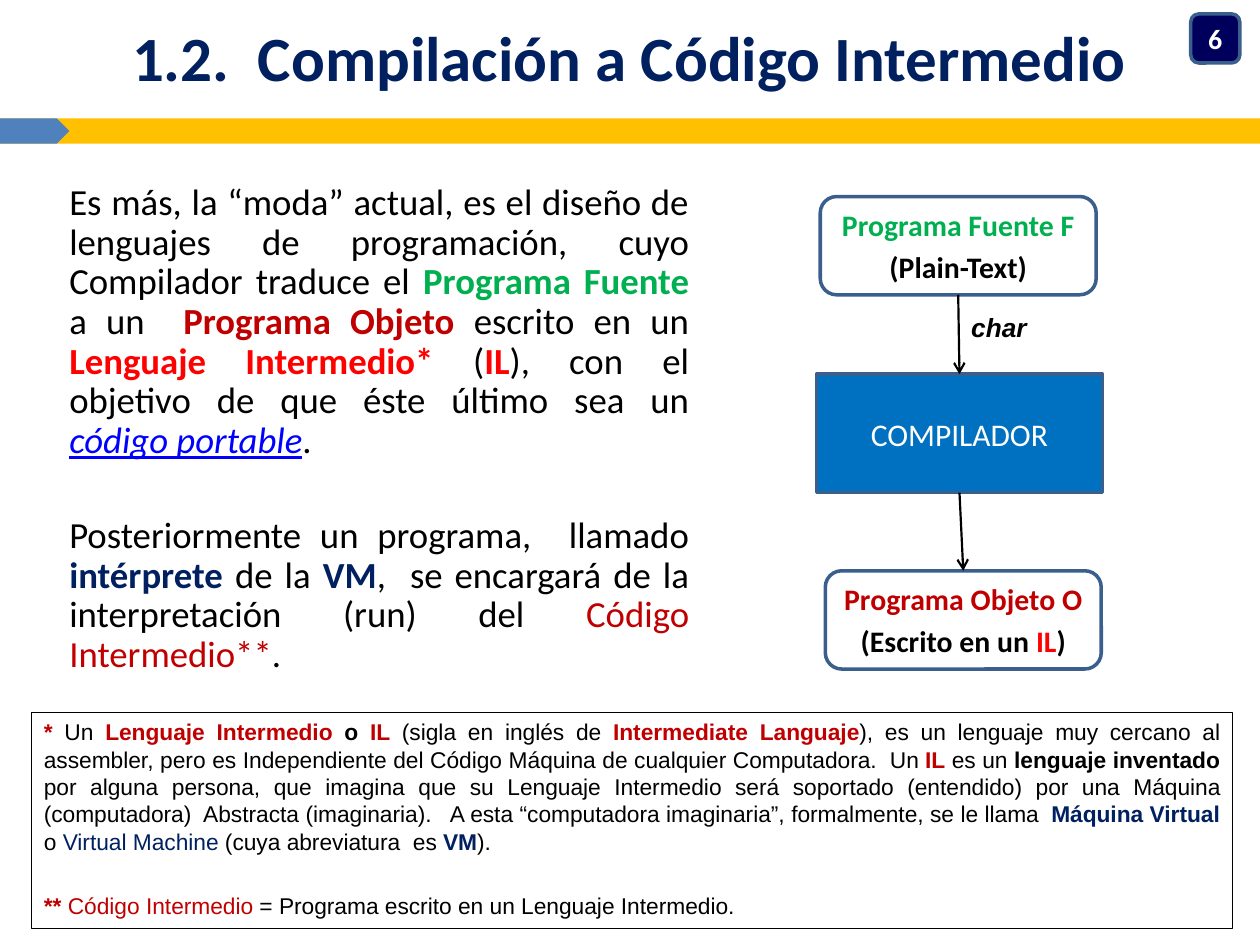
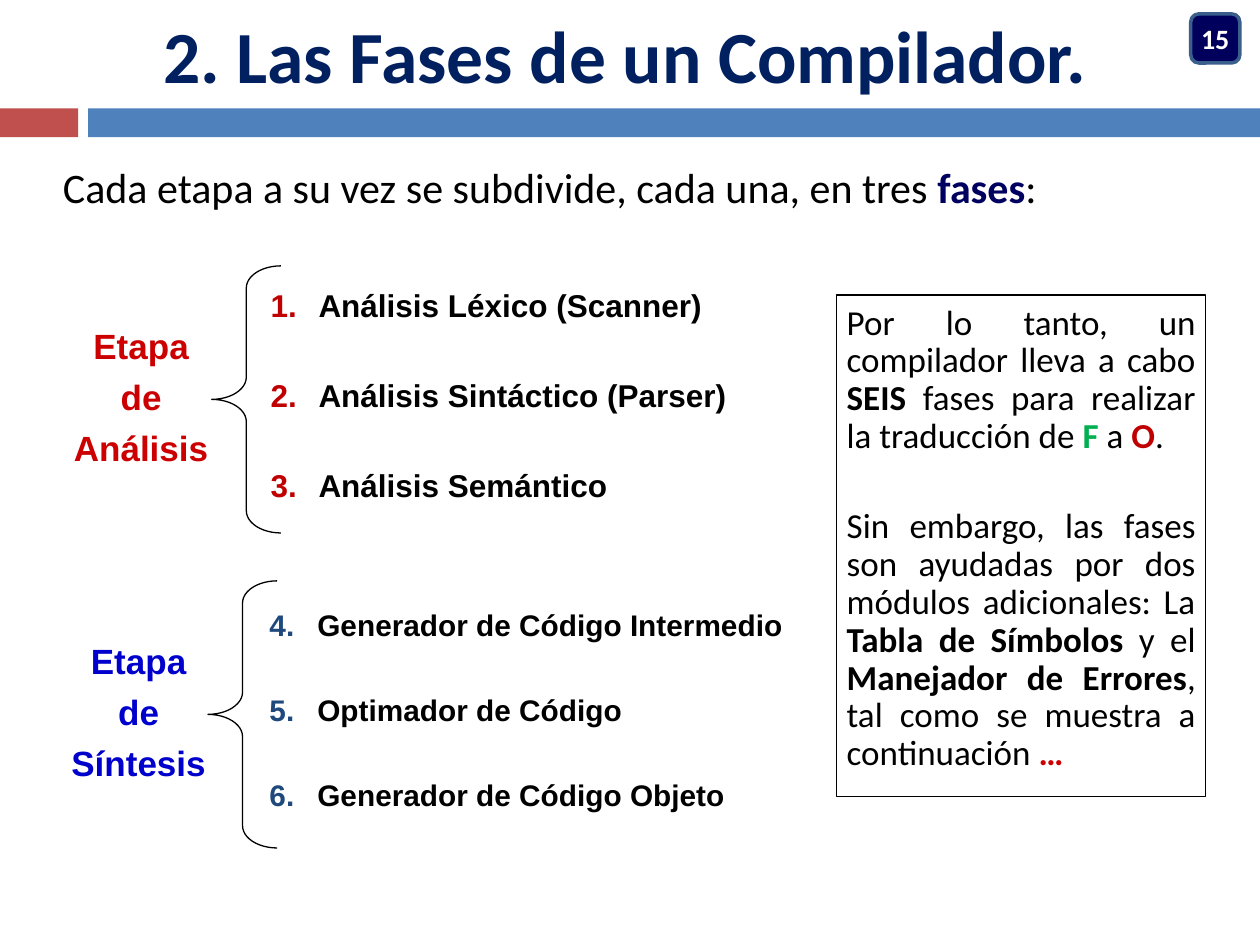
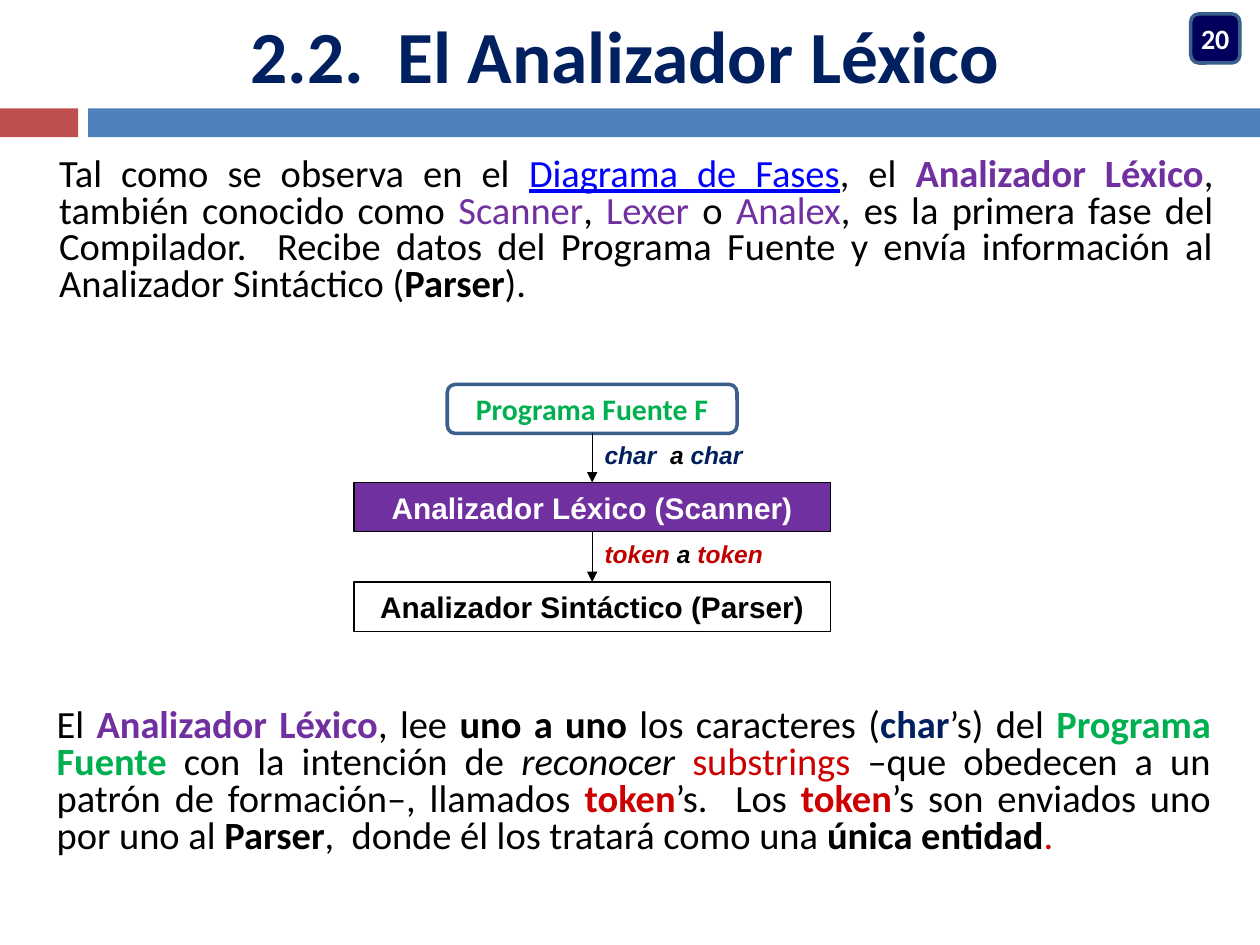
"""Build three slides about the phases of a compiler."""
from dataclasses import dataclass, field
from typing import NamedTuple, Optional

from pptx import Presentation
from pptx.dml.color import RGBColor
from pptx.enum.shapes import MSO_CONNECTOR, MSO_SHAPE
from pptx.enum.text import MSO_ANCHOR, PP_ALIGN
from pptx.oxml.ns import qn
from pptx.util import Inches, Pt

COLORS = {
    "black": "000000", "white": "FFFFFF", "navy": "002060", "badge": "00005C",
    "phase": "000060", "outline": "3A5F8C", "gold": "FFC000", "steel": "4F81BD",
    "brick": "C0504D", "green": "00B050", "wine": "C00000", "red": "FF0000",
    "crimson": "CC0000", "link": "0000FF", "synthesis": "0000CC",
    "number": "1F497D", "blue": "0070C0", "purple": "7030A0",
}
TOP, BOTTOM = 0, 2


class Face(NamedTuple):
    name: str
    line: float
    lead: float


class Frame(NamedTuple):
    left: float
    top: float
    width: float
    height: float


class Span(NamedTuple):
    text: str
    color: str = "black"
    style: str = ""


class Para(NamedTuple):
    spans: list[Span]
    after_gap: bool = False


class Numbering(NamedTuple):
    start: int
    color: str


CALIBRI = Face("Calibri", 1.22, 0.2)
ARIAL = Face("Arial", 1.15, 0.25)
LEFT, CENTER, JUSTIFY = PP_ALIGN.LEFT, PP_ALIGN.CENTER, PP_ALIGN.JUSTIFY
RECTANGLE, ROUNDED = MSO_SHAPE.RECTANGLE, MSO_SHAPE.ROUNDED_RECTANGLE


@dataclass(frozen=True)
class TextStyle:
    face: Face
    size: float
    align: PP_ALIGN = LEFT
    spacing: float = 1.0
    middle: bool = False
    insets: tuple[float, float] = (0.1, 0.05)
    numbering: Optional[Numbering] = None


@dataclass(frozen=True)
class Box:
    frame: Frame
    kind: Optional[MSO_SHAPE] = None
    fill: Optional[str] = None
    line: Optional[str] = None
    weight: float = 0.75
    style: Optional[TextStyle] = None
    paras: list[Para] = field(default_factory=list)


TITLE = TextStyle(CALIBRI, 42, CENTER, middle=True, insets=(0, 0))
SMALL_TITLE = TextStyle(CALIBRI, 36, CENTER, middle=True, insets=(0, 0))
BADGE = TextStyle(CALIBRI, 16, CENTER, middle=True, insets=(0, 0.05))
PROGRAM = TextStyle(CALIBRI, 17, CENTER, middle=True)
ANALYZER = TextStyle(ARIAL, 17, CENTER, middle=True)
STAGE = TextStyle(ARIAL, 20, CENTER)
FLOW_LABEL = TextStyle(ARIAL, 14)
LEXER_BODY = TextStyle(CALIBRI, 22, JUSTIFY, 0.8, insets=(0, 0))


def rgb(name: str) -> RGBColor:
    return RGBColor.from_string(COLORS[name])


def number_paragraph(para, numbering: Numbering) -> None:
    properties = para._p.get_or_add_pPr()
    properties.set("marL", str(Inches(0.38)))
    properties.set("indent", str(-Inches(0.38)))
    bullet_color = properties.makeelement(qn("a:buClr"), {})
    bullet_color.append(bullet_color.makeelement(qn("a:srgbClr"), {"val": COLORS[numbering.color]}))
    properties.append(bullet_color)
    properties.append(properties.makeelement(
        qn("a:buAutoNum"), {"type": "arabicPeriod", "startAt": str(numbering.start)}))


def write_text(shape, style: TextStyle, paras: list[Para]) -> None:
    frame = shape.text_frame
    frame.word_wrap = True
    frame.vertical_anchor = MSO_ANCHOR.MIDDLE if style.middle else MSO_ANCHOR.TOP
    frame.margin_left = frame.margin_right = Inches(style.insets[0])
    frame.margin_top = frame.margin_bottom = Inches(style.insets[1])
    for index, content in enumerate(paras):
        para = frame.add_paragraph() if index else frame.paragraphs[0]
        para.alignment = style.align
        if style.spacing != 1:
            para.line_spacing = style.spacing
        if index:
            before = style.face.lead
            if content.after_gap:
                before += style.face.line * style.spacing + style.face.lead
            para.space_before = Pt(round(style.size * before, 1))
        if style.numbering:
            number_paragraph(para, style.numbering)
        for span in content.spans:
            run = para.add_run()
            run.text = span.text
            font = run.font
            font.name, font.size = style.face.name, Pt(style.size)
            font.color.rgb = rgb(span.color)
            font.bold, font.italic = "b" in span.style, "i" in span.style
            font.underline = "u" in span.style


def draw_box(page, box: Box):
    place = [Inches(value) for value in box.frame]
    if box.kind is None:
        shape = page.shapes.add_textbox(*place)
    else:
        shape = page.shapes.add_shape(box.kind, *place)
        shape.shadow.inherit = False
        if box.fill:
            shape.fill.solid()
            shape.fill.fore_color.rgb = rgb(box.fill)
        else:
            shape.fill.background()
        if box.line:
            shape.line.color.rgb = rgb(box.line)
            shape.line.width = Pt(box.weight)
        else:
            shape.line.fill.background()
    if box.style:
        write_text(shape, box.style, box.paras)
    return shape


def draw_text(page, frame: Frame, style: TextStyle, paras: list[Para]) -> None:
    draw_box(page, Box(frame, style=style, paras=paras))


def draw_program(page, frame: Frame, paras: list[Para]):
    return draw_box(page, Box(frame, ROUNDED, "white", "outline", 2, PROGRAM, paras))


def draw_arrow(page, source, target, weight: float, head: str) -> None:
    arrow = page.shapes.add_connector(MSO_CONNECTOR.STRAIGHT, 0, 0, 0, 0)
    arrow.begin_connect(source, BOTTOM)
    arrow.end_connect(target, TOP)
    arrow.line.color.rgb = rgb("black")
    arrow.line.width = Pt(weight)
    line = arrow.line._get_or_add_ln()
    line.append(line.makeelement(qn("a:tailEnd"), {"type": head}))
    properties = arrow._element.spPr
    properties.append(properties.makeelement(qn("a:effectLst"), {}))


def draw_badge(page, number: int) -> None:
    draw_box(page, Box(Frame(9.45, 0.11, 0.39, 0.39), ROUNDED, "badge", "outline", 2,
                       BADGE, [Para([Span(str(number), "white", "b")])]))


def draw_title(page, text: str, frame: Frame, style: TextStyle) -> None:
    draw_text(page, frame, style, [Para([Span(text, "navy", "b")])])


def start_phase_page(deck, title: str, number: int):
    page = deck.slides.add_slide(deck.slide_layouts[6])
    draw_box(page, Box(Frame(0, 0.86, 0.62, 0.23), RECTANGLE, "brick"))
    draw_box(page, Box(Frame(0.7, 0.86, 9.3, 0.23), RECTANGLE, "steel"))
    draw_title(page, title, Frame(0, 0, 9.92, 0.86), TITLE)
    draw_badge(page, number)
    return page


def build_intermediate_code(deck) -> None:
    page = deck.slides.add_slide(deck.slide_layouts[6])
    draw_box(page, Box(Frame(0, 0.94, 10, 0.2), RECTANGLE, "gold"))
    draw_box(page, Box(Frame(0, 0.94, 0.55, 0.2), MSO_SHAPE.PENTAGON, "steel"))
    draw_title(page, "1.2.  Compilación a Código Intermedio", Frame(0.23, 0, 9.53, 0.9), SMALL_TITLE)
    draw_badge(page, 6)
    body = TextStyle(CALIBRI, 21, JUSTIFY, 0.9, insets=(0, 0.05))
    draw_text(page, Frame(0.55, 1.41, 4.92, 4.06), body, [
        Para([
            Span("Es más, la “moda” actual, es el diseño de lenguajes de programación, "
                 "cuyo Compilador traduce el "),
            Span("Programa Fuente", "green", "b"),
            Span(" a un  "),
            Span("Programa Objeto", "wine", "b"),
            Span(" escrito en un "),
            Span("Lenguaje Intermedio*", "red", "b"),
            Span(" ("),
            Span("IL", "red", "b"),
            Span("), con el objetivo de que éste último sea un "),
            Span("código portable", "link", "iu"),
            Span("."),
        ]),
        Para([
            Span("Posteriormente un programa,  llamado "),
            Span("intérprete", "navy", "b"),
            Span(" de la "),
            Span("VM", "navy", "b"),
            Span(",  se encargará de la interpretación (run) del "),
            Span("Código Intermedio**", "wine"),
            Span("."),
        ], after_gap=True),
    ])
    source = draw_program(page, Frame(6.51, 1.56, 2.19, 0.78), [
        Para([Span("Programa Fuente F", "green", "b")]),
        Para([Span("(Plain-Text)", style="b")]),
    ])
    compiler = draw_box(page, Box(
        Frame(6.48, 2.97, 2.27, 0.94), RECTANGLE, "blue", "outline", 2,
        TextStyle(CALIBRI, 18, CENTER, middle=True), [Para([Span("COMPILADOR", "white")])]))
    target = draw_program(page, Frame(6.55, 4.53, 2.19, 0.78), [
        Para([Span("Programa Objeto O", "wine", "b")]),
        Para([Span("(Escrito en un ", style="b"), Span("IL", "red", "b"), Span(")", style="b")]),
    ])
    draw_arrow(page, source, compiler, 1.25, "arrow")
    draw_arrow(page, compiler, target, 1.25, "arrow")
    draw_text(page, Frame(7.61, 2.42, 0.8, 0.35), TextStyle(ARIAL, 15),
              [Para([Span("char", style="bi")])])
    footnotes = [
        Para([
            Span("* ", "wine", "b"),
            Span("Un "),
            Span("Lenguaje Intermedio ", "wine", "b"),
            Span("o", style="b"),
            Span(" IL", "wine", "b"),
            Span(" (sigla en inglés de "),
            Span("Intermediate Languaje", "wine", "b"),
            Span("), es un lenguaje muy cercano al assembler, pero es Independiente "
                 "del Código Máquina de cualquier Computadora.  Un "),
            Span("IL", "wine", "b"),
            Span(" es un "),
            Span("lenguaje inventado", style="b"),
            Span(" por alguna persona, que imagina que su Lenguaje Intermedio será "
                 "soportado (entendido) por una Máquina (computadora)  Abstracta "
                 "(imaginaria).   A esta “computadora imaginaria”, formalmente, se le llama  "),
            Span("Máquina Virtual", "navy", "b"),
            Span(" o "),
            Span("Virtual Machine", "navy"),
            Span(" (cuya abreviatura  es "),
            Span("VM", "navy", "b"),
            Span(")."),
        ]),
        Para([
            Span("** ", "wine", "b"),
            Span("Código Intermedio", "wine"),
            Span(" = Programa escrito en un Lenguaje Intermedio."),
        ], after_gap=True),
    ]
    draw_box(page, Box(Frame(0.25, 5.65, 9.53, 1.72), RECTANGLE, None, "black", 0.25,
                       TextStyle(ARIAL, 13, JUSTIFY), footnotes))


def draw_stage(page, name: str, color: str, label_at: tuple[float, float],
               brace_at: tuple[float, float]) -> None:
    brace = draw_box(page, Box(Frame(*brace_at, 0.55, 2.12), MSO_SHAPE.LEFT_BRACE, line="black"))
    brace.adjustments[0], brace.adjustments[1] = 0.32, 0.5
    draw_text(page, Frame(*label_at, 1.42, 1.23), STAGE,
              [Para([Span(word, color, "b")]) for word in ("Etapa", "de", name)])


def draw_phases(page, frame: Frame, size: float, numbering: Numbering, phases: list[str]) -> None:
    draw_text(page, frame, TextStyle(ARIAL, size, numbering=numbering),
              [Para([Span(phase, style="b")], after_gap=True) for phase in phases])


def build_phases(deck) -> None:
    page = start_phase_page(deck, "2. Las Fases de un Compilador.", 15)
    draw_text(page, Frame(0.5, 1.33, 9, 0.63), TextStyle(CALIBRI, 24, spacing=0.9, insets=(0, 0)), [
        Para([
            Span("Cada etapa a su vez se subdivide, cada una, en tres "),
            Span("fases", "phase", "b"),
            Span(":"),
        ]),
    ])
    draw_stage(page, "Análisis", "crimson", (0.41, 2.53), (1.68, 2.11))
    draw_stage(page, "Síntesis", "synthesis", (0.39, 5.03), (1.65, 4.61))
    draw_phases(page, Frame(2.05, 2.22, 4.1, 1.85), 18, Numbering(1, "wine"), [
        "Análisis Léxico (Scanner)", "Análisis Sintáctico (Parser)", "Análisis Semántico"])
    draw_phases(page, Frame(2.04, 4.77, 4.65, 1.76), 17, Numbering(4, "number"), [
        "Generador de Código Intermedio", "Optimador de Código", "Generador de Código Objeto"])
    summary = [
        Para([
            Span("Por lo tanto, un compilador lleva a cabo "),
            Span("SEIS", style="b"),
            Span(" fases para realizar la traducción de "),
            Span("F", "green", "b"),
            Span(" a "),
            Span("O", "wine", "b"),
            Span("."),
        ]),
        Para([
            Span("Sin embargo, las fases son ayudadas por dos módulos adicionales: La"),
            Span(" Tabla de Símbolos", style="b"),
            Span(" y el "),
            Span("Manejador de Errores", style="b"),
            Span(", tal como se muestra a continuación "),
            Span("…", "crimson", "b"),
        ], after_gap=True),
    ]
    draw_box(page, Box(Frame(6.64, 2.34, 2.93, 3.98), RECTANGLE, None, "black", 0.75,
                       TextStyle(CALIBRI, 20, JUSTIFY, 0.9, insets=(0.08, 0.08)), summary))


def build_lexical_analyzer(deck) -> None:
    page = start_phase_page(deck, "2.2.  El Analizador Léxico", 20)
    draw_text(page, Frame(0.47, 1.25, 9.16, 1.25), LEXER_BODY, [
        Para([
            Span("Tal como se observa en el "),
            Span("Diagrama de Fases", "link", "u"),
            Span(", el "),
            Span("Analizador Léxico", "purple", "b"),
            Span(", también conocido como "),
            Span("Scanner", "purple"),
            Span(", "),
            Span("Lexer", "purple"),
            Span(" o "),
            Span("Analex", "purple"),
            Span(", es la primera fase del Compilador.  Recibe datos del Programa Fuente "
                 "y envía información al Analizador Sintáctico ("),
            Span("Parser", style="b"),
            Span(")."),
        ]),
    ])
    source = draw_program(page, Frame(3.55, 3.05, 2.3, 0.39),
                          [Para([Span("Programa Fuente F", "green", "b")])])
    scanner, parser = [
        draw_box(page, Box(Frame(2.81, top, 3.78, 0.39), RECTANGLE, fill, "black", 0.75,
                           ANALYZER, [Para([Span(name, color, "b")])]))
        for top, fill, name, color in (
            (3.83, "purple", "Analizador Léxico (Scanner)", "white"),
            (4.62, "white", "Analizador Sintáctico (Parser)", "black"))
    ]
    draw_arrow(page, source, scanner, 0.75, "triangle")
    draw_arrow(page, scanner, parser, 0.75, "triangle")
    for top, first, last, color in ((3.44, "char  ", "char", "navy"),
                                    (4.23, "token ", "token", "wine")):
        draw_text(page, Frame(4.7, top, 1.6, 0.34), FLOW_LABEL, [
            Para([Span(first, color, "bi"), Span("a ", style="bi"), Span(last, color, "bi")]),
        ])
    draw_text(page, Frame(0.45, 5.63, 9.16, 1.25), LEXER_BODY, [
        Para([
            Span("El "),
            Span("Analizador Léxico", "purple", "b"),
            Span(", lee "),
            Span("uno a uno", style="b"),
            Span(" los caracteres ("),
            Span("char", "navy", "b"),
            Span("’s) del "),
            Span("Programa Fuente", "green", "b"),
            Span(" con la intención de "),
            Span("reconocer ", style="i"),
            Span("substrings ", "crimson"),
            Span("–que obedecen a un patrón de formación–, llamados "),
            Span("token", "crimson", "b"),
            Span("’s.  Los "),
            Span("token", "crimson", "b"),
            Span("’s son enviados uno por uno al "),
            Span("Parser", style="b"),
            Span(",  donde él los tratará como una "),
            Span("única entidad", style="b"),
            Span(".", "crimson"),
        ]),
    ])


def main() -> None:
    deck = Presentation()
    deck.slide_width, deck.slide_height = Inches(10), Inches(7.5)
    build_intermediate_code(deck)
    build_phases(deck)
    build_lexical_analyzer(deck)
    deck.save("out.pptx")


if __name__ == "__main__":
    main()
